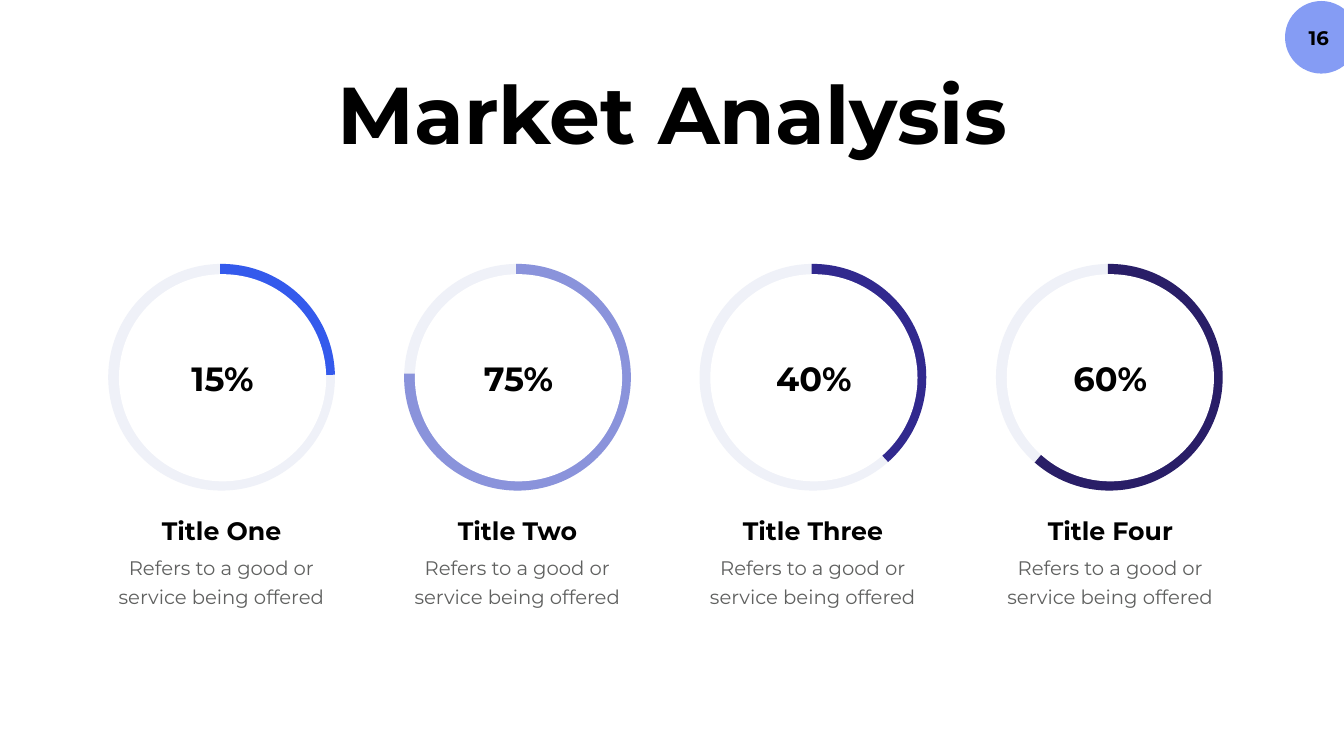
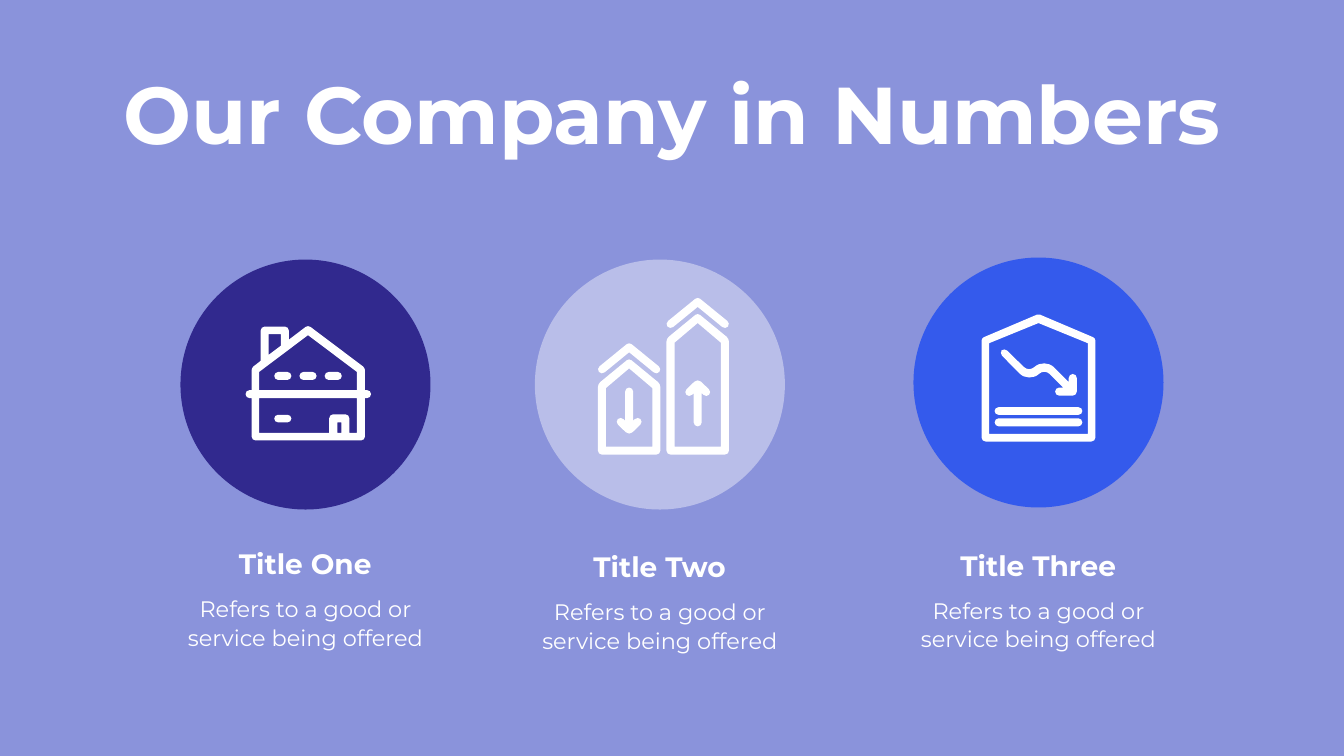
from dataclasses import dataclass
from typing import NamedTuple

from lxml.etree import SubElement
from pptx import Presentation
from pptx.dml.color import RGBColor
from pptx.enum.shapes import MSO_SHAPE
from pptx.enum.text import MSO_ANCHOR, MSO_AUTO_SIZE, PP_ALIGN
from pptx.oxml.ns import qn
from pptx.shapes.autoshape import Shape
from pptx.slide import Slide, SlideLayout
from pptx.text.text import TextFrame
from pptx.util import Inches, Pt

# Shared look
COLORS = {
    "black": "000000", "white": "FFFFFF", "grey": "606160", "track": "EFF1F8",
    "badge": "859CF4", "blue": "345AEC", "lavender": "8A93DB", "pale": "B9BEE9",
    "indigo": "31298E", "night": "291E67",
}
FORMATS = {
    "title": {"size": Pt(115), "bold": True},
    "percent": {"size": Pt(48), "bold": True},
    "page": {"size": Pt(28), "bold": True},
    "ring heading": {"size": Pt(36), "bold": True},
    "ring text": {"size": Pt(28), "bold": False},
    "icon heading": {"size": Pt(40), "bold": True},
    "icon text": {"size": Pt(32), "bold": False},
}
FONT = "Montserrat"
BLURB = "Refers to a good or service being offered"
TITLE_ONLY = 5


class Box(NamedTuple):
    left: float
    top: float
    width: float
    height: float


class Corner(NamedTuple):
    x: float
    y: float
    radius: float = 0


Contour = list[Corner]
Glyph = list[Contour]  # the outline first, then its holes


@dataclass
class Ring:
    heading: str
    percent: str
    color: str
    end_angle: float
    left: float
    caption_left: float


@dataclass
class Feature:
    heading: str
    color: str
    left: float
    top: float
    heading_top: float
    text_top: float
    icon: list[Glyph]


def rgb(name: str) -> RGBColor:
    return RGBColor.from_string(COLORS[name])


def emu(box: Box) -> list[int]:
    return [Inches(length) for length in box]


# Text
def write(frame: TextFrame, text: str, style: str, color: str,
          align: PP_ALIGN = PP_ALIGN.CENTER, wrap: bool = True) -> None:
    settings = {"word_wrap": wrap, "auto_size": MSO_AUTO_SIZE.SHAPE_TO_FIT_TEXT,
                "vertical_anchor": MSO_ANCHOR.TOP}
    for name, value in settings.items():
        setattr(frame, name, value)
    paragraph = frame.paragraphs[0]
    paragraph.text = text
    paragraph.alignment = align
    if text == BLURB:
        paragraph.line_spacing = Pt(40.8)
    for name, value in {"name": FONT, **FORMATS[style]}.items():
        setattr(paragraph.font, name, value)
    paragraph.font.color.rgb = rgb(color)


def add_text(slide: Slide, box: Box, text: str, style: str, color: str) -> None:
    write(slide.shapes.add_textbox(*emu(box)).text_frame, text, style, color)


def add_title(slide: Slide, box: Box, text: str, color: str) -> None:
    title = slide.shapes.title
    for name, value in zip(box._fields, emu(box)):
        setattr(title, name, value)
    write(title.text_frame, text, "title", color)


# Shapes
def paint(shape: Shape, fill: str | None, line: str | None = None) -> None:
    shape.shadow.inherit = False
    if fill:
        shape.fill.solid()
        shape.fill.fore_color.rgb = rgb(fill)
    else:
        shape.fill.background()
    if line:
        shape.line.color.rgb = rgb(line)
        shape.line.width = Pt(25)
    else:
        shape.line.fill.background()


def add_preset(slide: Slide, kind: MSO_SHAPE, box: Box, fill: str | None,
               line: str | None = None) -> Shape:
    shape = slide.shapes.add_shape(kind, *emu(box))
    paint(shape, fill, line)
    return shape


def put_badge_on_layout(slide: Slide, layout: SlideLayout) -> None:
    badge = add_preset(slide, MSO_SHAPE.OVAL, Box(25.49, 0.02, 1.44, 1.44), "badge")
    layout.placeholders[0].element.addprevious(badge.element)


def add_page_number(slide: Slide, number: str) -> None:
    frame = slide.shapes.add_textbox(*emu(Box(25.4, 0.41, 1.38, 0.67))).text_frame
    margins = {"margin_left": 0.2, "margin_top": 0.1,
               "margin_right": 0.42, "margin_bottom": 0.1}
    for name, value in margins.items():
        setattr(frame, name, Inches(value))
    write(frame, number, "page", "black", PP_ALIGN.RIGHT, wrap=False)


def round_corners(contour: Contour) -> tuple[list[tuple[int, int]], list[bool]]:
    """Give the points of a contour, and which of them are curve handles."""
    points, handles = [], []
    for i, corner in enumerate(contour):
        here = complex(corner.x, corner.y)
        if corner.radius:
            ends = []
            for other in (contour[i - 1], contour[(i + 1) % len(contour)]):
                away = complex(other.x, other.y) - here
                ends.append(here + away / abs(away) * corner.radius)
            pulls = [end + (here - end) * 0.55 for end in ends]
            points += [ends[0], *pulls, ends[1]]
            handles += [False, True, True, False]
        else:
            points.append(here)
            handles.append(False)
    return [(Inches(p.real), Inches(p.imag)) for p in points], handles


def bend(shape: Shape, handles: list[bool]) -> None:
    """Join each pair of handles and the point after it into one curve."""
    outline = next(shape.element.iter(qn("a:path")))
    nodes = [node for node in outline if node.tag != qn("a:close")]
    for i, node in enumerate(nodes):
        if handles[i] and not handles[i - 1]:
            curve = SubElement(outline, qn("a:cubicBezTo"))
            node.addprevious(curve)
            for part in nodes[i:i + 3]:
                curve.append(part[0])
                outline.remove(part)


def add_glyph(slide: Slide, glyph: Glyph) -> None:
    builder, handles = None, []
    for contour in glyph:
        points, marks = round_corners(contour)
        handles += marks
        if builder is None:
            builder = slide.shapes.build_freeform(*points[0])
        else:
            builder.move_to(*points[0])
        builder.add_line_segments(points[1:], close=True)
    shape = builder.convert_to_shape()
    bend(shape, handles)
    paint(shape, "white")


# Icon parts
def corners(*values: tuple[float, ...]) -> Contour:
    return [Corner(*value) for value in values]


def pill(left: float, top: float, width: float, height: float = 0.16) -> Glyph:
    right, bottom, r = left + width, top + height, height / 2
    return [corners((left, top, r), (right, top, r), (right, bottom, r), (left, bottom, r))]


def mirrored(center: float, *half: tuple[float, ...]) -> Contour:
    """Close a symmetric contour; x values are distances from the center."""
    right = corners(*half)
    left = [Corner(-c.x, c.y, c.radius) for c in reversed(right) if c.x]
    return [Corner(center + c.x, c.y, c.radius) for c in right + left]


def tower(center: float, peak: float) -> list[Glyph]:
    wall = mirrored(center, (0, peak, 0.06), (0.62, peak + 0.51, 0.06), (0.62, 9.02, 0.08))
    inside = mirrored(center, (0, peak + 0.2), (0.46, peak + 0.59), (0.46, 8.86))
    roof = mirrored(center, (0, peak - 0.32, 0.06), (0.65, peak + 0.21, 0.08),
                    (0.55, peak + 0.33, 0.08))
    roof.insert(3, Corner(center, peak - 0.12))
    return [[wall, inside], [roof]]


def arrow(center: float, tail: float, way: int) -> Glyph:
    return [mirrored(center, (0, tail + way * 0.95, 0.09), (0.28, tail + way * 0.68, 0.08),
                     (0.17, tail + way * 0.57, 0.08), (0.08, tail + way * 0.66),
                     (0.08, tail, 0.08))]


HOUSE = [
    [corners((7.24, 7.74), (7.24, 7.3, 0.05), (6.11, 6.45, 0.06), (5.73, 6.74),
             (5.73, 6.48, 0.08), (5.17, 6.48, 0.08), (5.17, 7.16), (4.99, 7.3, 0.05),
             (4.99, 7.74), (4.87, 7.74, 0.08), (4.87, 7.9, 0.08), (4.99, 7.9),
             (4.99, 8.74, 0.08), (7.24, 8.74, 0.08), (7.24, 7.9), (7.36, 7.9, 0.08),
             (7.36, 7.74, 0.08)),
     corners((5.33, 6.63), (5.57, 6.63), (5.57, 6.86), (5.33, 7.04)),
     corners((5.14, 7.74), (5.14, 7.38), (6.11, 6.65), (7.08, 7.38), (7.08, 7.74)),
     corners((6.93, 8.59), (6.93, 8.22, 0.08), (6.53, 8.22, 0.08), (6.53, 8.59),
             (5.14, 8.59), (5.14, 7.9), (7.08, 7.9), (7.08, 8.59)),
     corners((6.69, 8.38), (6.77, 8.38), (6.77, 8.59), (6.69, 8.59))],
    pill(5.44, 8.23, 0.34, 0.15),
    *[pill(5.44 + 0.5 * i, 7.38, 0.34) for i in range(3)],
]
TOWERS = [*tower(13.84, 6.21), *tower(12.48, 7.11),
          arrow(12.48, 7.69, 1), arrow(13.84, 8.46, -1)]
REPORT = [
    [corners((19.82, 7, 0.08), (19.92, 6.9, 0.08), (20.41, 7.38, 0.14),
             (20.72, 7.1, 0.27), (21.2, 7.58), (21.2, 7.42, 0.08), (21.36, 7.42, 0.08),
             (21.36, 7.85, 0.08), (20.93, 7.85, 0.08), (20.93, 7.69, 0.08),
             (21.09, 7.69), (20.72, 7.32, 0.14), (20.41, 7.6, 0.27))],
    pill(19.73, 8.08, 1.74, 0.15),
    pill(19.73, 8.3, 1.74),
    [mirrored(20.6, (0, 6.23, 0.03), (1.13, 6.71, 0.05), (1.13, 8.76, 0.08)),
     mirrored(20.6, (0, 6.41), (0.98, 6.81), (0.98, 8.61))],
]

# Content
RINGS = [
    Ring("Title One", "15%", "blue", 358.78, 2.32, 2.09),
    Ring("Title Two", "75%", "lavender", 181.94, 8.19, 7.96),
    Ring("Title Three", "40%", "indigo", 48.5, 14.05, 13.82),
    Ring("Title Four", "60%", "night", 131.28, 19.93, 19.72),
]
FEATURES = [
    Feature("Title One", "indigo", 3.58, 5.15, 10.79, 11.73, HOUSE),
    Feature("Title Two", "pale", 10.61, 5.15, 10.86, 11.79, TOWERS),
    Feature("Title Three", "blue", 18.12, 5.11, 10.83, 11.76, REPORT),
]


def add_ring(slide: Slide, ring: Ring) -> None:
    left, top, caption = ring.left, 5.41, ring.caption_left
    circle = Box(left, top, 4.15, 4.15)
    add_preset(slide, MSO_SHAPE.OVAL, circle, "blue", "track")
    share = add_preset(slide, MSO_SHAPE.ARC, circle, None, ring.color)
    for i, angle in enumerate((269.26, ring.end_angle)):
        share.adjustments[i] = angle * 0.6
    add_preset(slide, MSO_SHAPE.OVAL, Box(left + 0.04, top + 0.03, 4.11, 4.11), "white")
    add_text(slide, Box(caption, 10.18, 4.61, 0.71), ring.heading, "ring heading", "black")
    add_text(slide, Box(caption + 0.1, 10.89, 4.4, 1.2), BLURB, "ring text", "grey")
    add_text(slide, Box(left + 0.99, 7.05, 2.21, 0.91), ring.percent, "percent", "black")


def add_feature(slide: Slide, feature: Feature) -> None:
    left, heading = feature.left, feature.heading
    add_preset(slide, MSO_SHAPE.OVAL, Box(left, feature.top, 4.96, 4.96), feature.color)
    for glyph in feature.icon:
        add_glyph(slide, glyph)
    add_text(slide, Box(left + 0.17, feature.heading_top, 4.61, 0.77), heading,
             "icon heading", "white")
    add_text(slide, Box(left - 0.12, feature.text_top, 5.2, 1.22), BLURB, "icon text", "white")


def main() -> None:
    deck = Presentation()
    deck.slide_width, deck.slide_height = Inches(26.66), Inches(15)
    layout = deck.slide_layouts[TITLE_ONLY]

    # Market analysis
    market = deck.slides.add_slide(layout)
    put_badge_on_layout(market, layout)
    add_page_number(market, "16")
    add_title(market, Box(6.45, 1.22, 13.76, 2.04), "Market Analysis", "black")
    for ring in RINGS:
        add_ring(market, ring)

    # Company numbers
    numbers = deck.slides.add_slide(layout)
    backdrop = add_preset(numbers, MSO_SHAPE.RECTANGLE, Box(0, 0, 26.66, 15), "lavender")
    numbers.shapes.title.element.addprevious(backdrop.element)
    add_title(numbers, Box(2.04, 1.22, 22.58, 2.04), "Our Company in Numbers", "white")
    for feature in FEATURES:
        add_feature(numbers, feature)

    deck.save("out.pptx")


if __name__ == "__main__":
    main()
